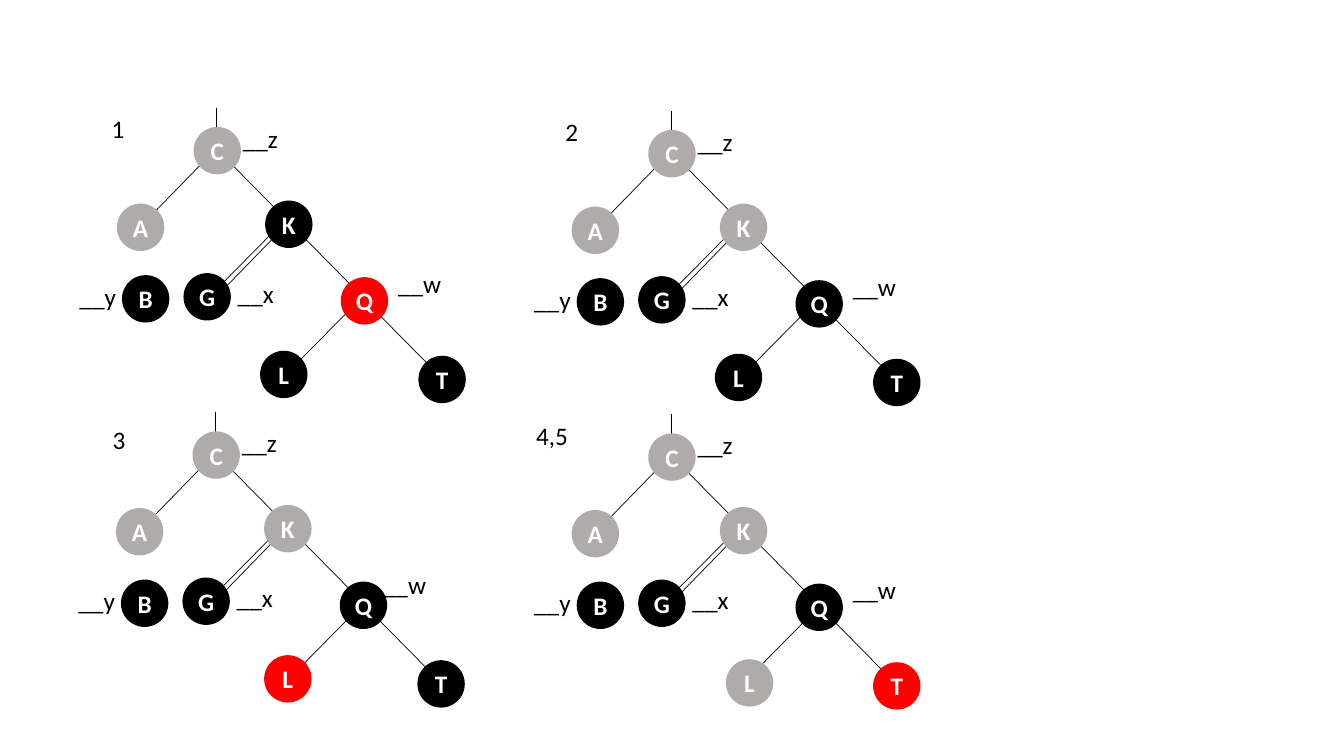
from pptx import Presentation
from pptx.dml.color import RGBColor
from pptx.enum.shapes import MSO_CONNECTOR, MSO_SHAPE
from pptx.enum.text import MSO_ANCHOR, MSO_AUTO_SIZE, PP_ALIGN
from pptx.oxml.ns import qn
from pptx.util import Inches, Pt

STRAIGHT = MSO_CONNECTOR.STRAIGHT
OVAL = MSO_SHAPE.OVAL
MIDDLE = MSO_ANCHOR.MIDDLE
FIT_SHAPE = MSO_AUTO_SIZE.SHAPE_TO_FIT_TEXT
CENTER = PP_ALIGN.CENTER

COLORS = {"black": "000000", "gray": "AFABAB", "red": "FF0000", "white": "FFFFFF"}
FONT, FONT_SIZE = "Calibri", 18
NODE_SIZE = 0.47
LABEL_WIDTH, LABEL_HEIGHT = 0.66, 0.4

# Tree layout, measured from the top of the root's stem
EDGES = {
    "K-G left": ((0.61, 1.18), (-0.12, 1.92)),
    "K-G right": ((0.68, 1.17), (-0.04, 1.91)),
    "Q-T": ((1.49, 1.93), (2.23, 2.68)),
    "K-Q": ((0.75, 1.17), (1.49, 1.92)),
    "Q-L": ((1.43, 1.89), (0.70, 2.63)),
    "C-K": ((0, 0.41), (0.74, 1.16)),
    "C-A": ((-0.01, 0.41), (-0.73, 1.15)),
    "stem": ((0, 0), (0, 0.4)),
}
NODES = {
    "C": (-0.23, 0.19), "K": (0.48, 0.92), "B": (-0.94, 1.66), "A": (-0.99, 0.95),
    "G": (-0.33, 1.64), "Q": (1.23, 1.68), "L": (0.43, 2.41), "T": (2.0, 2.46),
}
POINTERS = {
    "__z": (0.16, 0.1), "__x": (0.11, 1.64), "__y": (-1.46, 1.67), "__w": (1.7, 1.54),
}

# Each step: stem top, caption place and width, node colours, shifted parts
STEPS = [
    {"caption": "1", "origin": (2.15, 1.07), "caption_at": (1.01, 1.08), "width": 0.4,
     "gray": "CA", "red": "Q", "shifts": {}},
    {"caption": "2", "origin": (6.66, 1.1), "caption_at": (5.51, 1.1), "width": 0.4,
     "gray": "CAK", "red": "", "shifts": {}},
    {"caption": "3", "origin": (2.14, 4.09), "caption_at": (1.02, 4.16), "width": 0.4,
     "gray": "CAK", "red": "L",
     "shifts": {"L": (0.05, 0), "Q-L": (0.04, 0), "__w": (-0.14, -0.03)}},
    {"caption": "4,5", "origin": (6.66, 4.11), "caption_at": (5.22, 4.12), "width": 0.66,
     "gray": "CAKL", "red": "T",
     "shifts": {"L": (0.11, 0.02), "Q-L": (0.04, 0.01)}},
]


def rgb(color):
    return RGBColor.from_string(COLORS[color])


def write(frame, text, color, bold=False):
    frame.text = text
    font = frame.paragraphs[0].runs[0].font
    font.name, font.size, font.bold = FONT, Pt(FONT_SIZE), bold
    font.color.rgb = rgb(color)


def add_edge(slide, start, end):
    edge = slide.shapes.add_connector(STRAIGHT, *map(Inches, start + end))
    edge.line.color.rgb = rgb("black")
    edge.line.width = Pt(0.5)
    properties = edge._element.spPr
    properties.append(properties.makeelement(qn("a:effectLst"), {}))


def add_node(slide, letter, place, color):
    node = slide.shapes.add_shape(OVAL, *map(Inches, place + (NODE_SIZE, NODE_SIZE)))
    node.shadow.inherit = False
    node.fill.solid()
    node.fill.fore_color.rgb = rgb(color)
    node.line.fill.background()
    frame = node.text_frame
    frame.margin_left = frame.margin_right = frame.margin_top = frame.margin_bottom = 0
    frame.vertical_anchor = MIDDLE
    write(frame, letter, "white", bold=True)
    frame.paragraphs[0].alignment = CENTER


def add_label(slide, text, place, width=LABEL_WIDTH):
    label = slide.shapes.add_textbox(*map(Inches, place + (width, LABEL_HEIGHT)))
    label.text_frame.word_wrap = True
    label.text_frame.auto_size = FIT_SHAPE
    write(label.text_frame, text, "black")


def add_tree(slide, step):
    left, top = step["origin"]

    def locate(part, point):
        dx, dy = step["shifts"].get(part, (0, 0))
        return left + point[0] + dx, top + point[1] + dy

    for edge, (start, end) in EDGES.items():
        add_edge(slide, locate(edge, start), locate(edge, end))
    for letter, point in NODES.items():
        color = "red" if letter in step["red"] else "gray" if letter in step["gray"] else "black"
        add_node(slide, letter, locate(letter, point), color)
    for pointer, point in POINTERS.items():
        add_label(slide, pointer, locate(pointer, point))
    add_label(slide, step["caption"], step["caption_at"], step["width"])


def main():
    deck = Presentation()
    deck.slide_width, deck.slide_height = Inches(13.33), Inches(7.5)
    slide = deck.slides.add_slide(deck.slide_layouts[6])
    for step in STEPS:
        add_tree(slide, step)
    deck.save("out.pptx")


if __name__ == "__main__":
    main()
